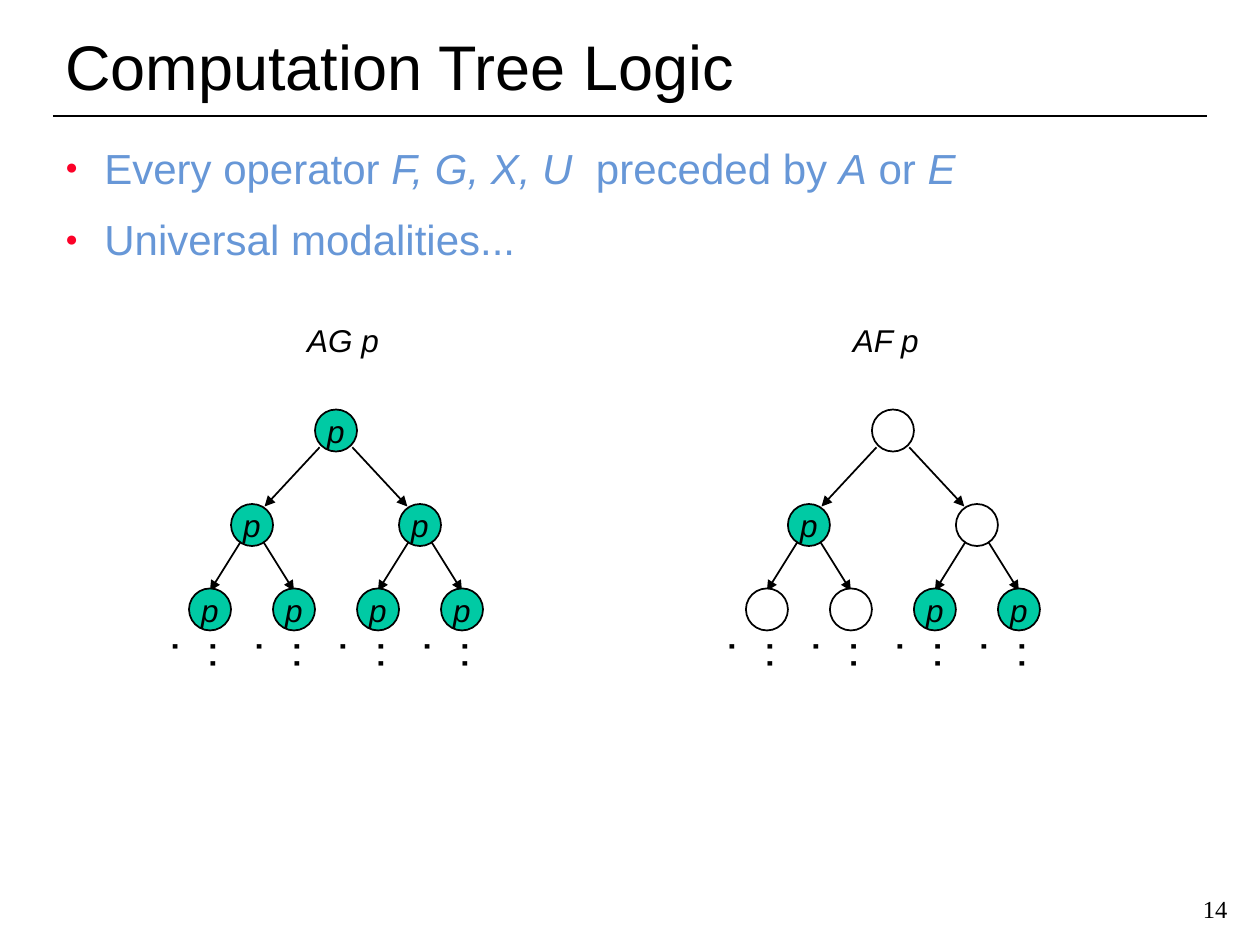
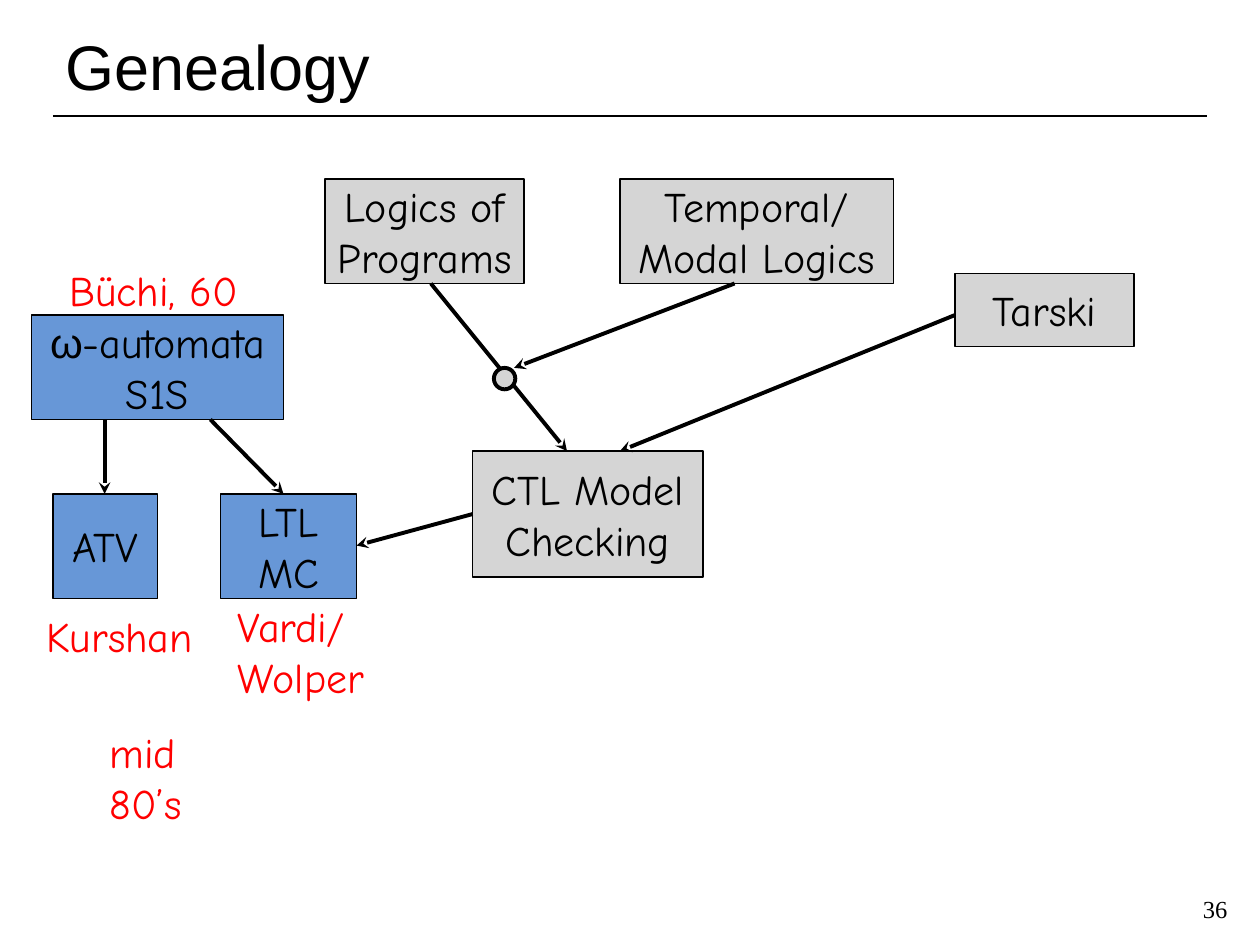
"""Build two slides on temporal logic and its history."""
from dataclasses import dataclass

from lxml.etree import SubElement
from pptx import Presentation
from pptx.dml.color import RGBColor
from pptx.enum.shapes import MSO_CONNECTOR, MSO_SHAPE
from pptx.enum.text import MSO_ANCHOR, MSO_AUTO_SIZE, PP_ALIGN
from pptx.oxml.ns import qn
from pptx.util import Inches, Pt


@dataclass(frozen=True)
class Theme:
    ink: str = "000000"
    white: str = "FFFFFF"
    blue: str = "6797D7"
    green: str = "00CAA4"
    grey: str = "D5D5D5"
    red: str = "FF0000"
    dot: str = "FC0128"
    sans: str = "Arial"
    hand: str = "Comic Neue"
    serif: str = "Times New Roman"
    head: int = 36
    body: int = 24
    note: int = 18
    foot: int = 14
    thin: float = 0.75
    line: float = 1
    bold: float = 2.25


class Deck:
    def __init__(self, theme):
        self.theme = theme
        self.show = Presentation()
        self.show.slide_width = Inches(10)
        self.show.slide_height = Inches(7.5)
        self.slide = None

    def page(self, title, number):
        t = self.theme
        self.slide = self.show.slides.add_slide(self.show.slide_layouts[6])
        self.link((0.42, 0.92), (9.58, 0.92))
        self.label((0.42, 0.17, 8.88, 0.7), [title], size=t.head,
                   wrap=True, anchor=MSO_ANCHOR.BOTTOM)
        self.label((9.42, 7, 0.42, 0.42), [str(number)], size=t.foot,
                   face=t.serif, wrap=True, align=PP_ALIGN.RIGHT,
                   anchor=MSO_ANCHOR.MIDDLE)

    def fill_text(self, frame, lines, size, face=None, color=None, align=PP_ALIGN.LEFT,
                  anchor=MSO_ANCHOR.TOP, wrap=False, italic=False, bold=False):
        t = self.theme
        frame.word_wrap = wrap
        frame.vertical_anchor = anchor
        for i, line in enumerate(lines):
            para = frame.paragraphs[0] if i == 0 else frame.add_paragraph()
            para.alignment = align
            for part in [line] if isinstance(line, str) else line:
                text, extra = (part, {}) if isinstance(part, str) else part
                run = para.add_run()
                run.text = text
                font = run.font
                font.size = Pt(size)
                font.name = extra.get("face", face or t.sans)
                font.italic = extra.get("italic", italic)
                font.bold = bold
                font.color.rgb = RGBColor.from_string(color or t.ink)

    def label(self, area, lines, turn=0, **style):
        box = self.slide.shapes.add_textbox(*map(Inches, area))
        box.rotation = turn
        self.fill_text(box.text_frame, lines, **style)
        if not style.get("wrap"):
            box.text_frame.auto_size = MSO_AUTO_SIZE.SHAPE_TO_FIT_TEXT
        return box

    def bullets(self, area, lines):
        t = self.theme
        box = self.label(area, lines, size=t.body, color=t.blue, wrap=True)
        for para in box.text_frame.paragraphs:
            para.space_before, para.space_after = Pt(3), Pt(9)
            props = para._p.get_or_add_pPr()
            props.set("marL", str(Inches(0.31)))
            props.set("indent", str(Inches(-0.31)))
            tint = SubElement(props, qn("a:buClr"))
            SubElement(tint, qn("a:srgbClr"), val=t.dot)
            SubElement(props, qn("a:buSzPct"), val="50000")
            SubElement(props, qn("a:buFont"), typeface=t.sans)
            SubElement(props, qn("a:buChar"), char="●")

    def shape(self, kind, area, fill, width, lines=(), **style):
        item = self.slide.shapes.add_shape(kind, *map(Inches, area))
        item.shadow.inherit = False
        item.fill.solid()
        item.fill.fore_color.rgb = RGBColor.from_string(fill)
        item.line.color.rgb = RGBColor.from_string(self.theme.ink)
        item.line.width = Pt(width)
        if lines:
            self.fill_text(item.text_frame, lines, align=PP_ALIGN.CENTER,
                           anchor=MSO_ANCHOR.MIDDLE, **style)

    def box(self, area, fill, lines):
        t = self.theme
        self.shape(MSO_SHAPE.RECTANGLE, area, fill, t.thin, lines,
                   size=t.body, face=t.hand)

    def link(self, start, end, width=None, tip=None):
        t = self.theme
        line = self.slide.shapes.add_connector(
            MSO_CONNECTOR.STRAIGHT, *map(Inches, start + end))
        line.line.color.rgb = RGBColor.from_string(t.ink)
        line.line.width = Pt(width or t.line)
        if tip:
            SubElement(line.line._ln, qn("a:tailEnd"), type=tip)
        SubElement(line._element.spPr, qn("a:effectLst"))

    def tree(self, left, levels):
        t = self.theme
        side, span = 1 / 3, 8 / 3
        tops = (3.25, 4, 4.67)
        gaps = ((0.13, 0.1), (0.09, 0))
        for depth, (top, marks) in enumerate(zip(tops, levels)):
            step = span / 2 ** depth
            for i, mark in enumerate(marks):
                x = left + step * (i + 0.5) - side
                on = mark == "p"
                self.shape(MSO_SHAPE.OVAL, (x, top, side, side),
                           t.green if on else t.white, t.line,
                           ["p"] if on else (), size=t.note, italic=True)
                if depth == len(gaps):
                    self.label((x, 5.07, 0.54, 0.4), [". . ."], turn=90,
                               size=t.note, bold=True)
                    continue
                mid = x + side / 2
                out, back = gaps[depth]
                for way in (-1, 1):
                    self.link((mid + way * out, top + 0.3),
                              (mid + way * (step / 4 - back), tops[depth + 1] + 0.02),
                              tip="triangle")


def logic(deck):
    t = deck.theme
    slant = {"italic": True}
    deck.page("Computation Tree Logic", 14)
    deck.bullets((0.42, 1.08, 9.17, 1.58), [
        ["Every operator ", ("F, G, X, U", slant), "  preceded by ",
         ("A", slant), " or ", ("E", slant)],
        "Universal modalities..."])
    deck.label((2.34, 2.5, 0.77, 0.4), ["AG p"], size=t.note, italic=True)
    deck.label((6.67, 2.5, 0.73, 0.4), ["AF p"], size=t.note, italic=True)
    deck.tree(1.5, ("p", "pp", "pppp"))
    deck.tree(5.92, ("-", "p-", "--pp"))


def roots(deck):
    t = deck.theme
    deck.page("Genealogy", 36)
    for area, fill, lines in (
            ((2.58, 1.42, 1.58, 0.83), t.grey, ["Logics of", "Programs"]),
            ((4.92, 1.42, 2.17, 0.83), t.grey, ["Temporal/", "Modal Logics"]),
            ((3.75, 3.58, 1.83, 1), t.grey, ["CTL Model", "Checking"]),
            ((0.25, 2.5, 2, 0.83), t.blue,
             [[("ω", {"face": t.sans}), "-automata"], "S1S"]),
            ((1.75, 3.92, 1.08, 0.83), t.blue, ["LTL", "MC"]),
            ((0.42, 3.92, 0.83, 0.83), t.blue, ["ATV"]),
            ((7.58, 2.17, 1.42, 0.58), t.grey, ["Tarski"])):
        deck.box(area, fill, lines)
    for start, end in (
            ((3.42, 2.25), (4.5, 3.58)),
            ((5.83, 2.25), (4.08, 2.92)),
            ((7.58, 2.5), (4.92, 3.58)),
            ((0.83, 3.33), (0.83, 3.92)),
            ((1.67, 3.33), (2.25, 3.92)),
            ((3.75, 4.08), (2.83, 4.33))):
        deck.link(start, end, t.bold, "stealth")
    deck.shape(MSO_SHAPE.OVAL, (3.92, 2.92, 0.17, 0.17), t.grey, t.bold)
    for area, lines in (
            ((0.45, 2.05, 1.54, 0.5), ["Büchi, 60"]),
            ((0.27, 4.8, 1.36, 0.5), ["Kurshan"]),
            ((1.79, 4.72, 1.21, 0.9), ["Vardi/", "Wolper"]),
            ((0.77, 5.72, 1.41, 0.5), ["mid 80’s"])):
        deck.label(area, lines, size=t.body, face=t.hand, color=t.red)


def main():
    deck = Deck(Theme())
    logic(deck)
    roots(deck)
    deck.show.save("out.pptx")


if __name__ == "__main__":
    main()
